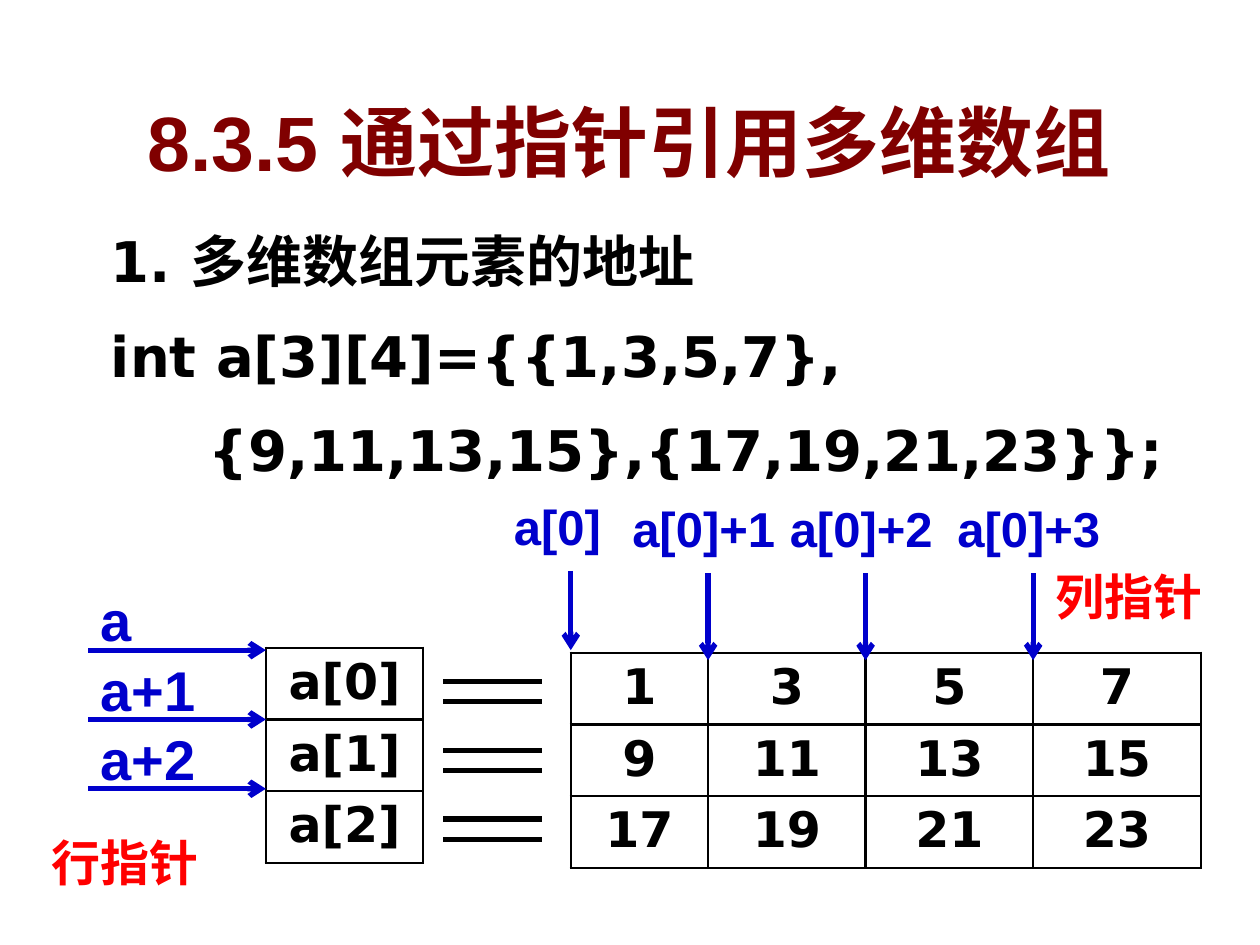
from dataclasses import dataclass

import pptx
import pptx.dml.color
import pptx.enum.shapes
import pptx.enum.text
import pptx.oxml
import pptx.oxml.ns
import pptx.util

Inches = pptx.util.Inches
Pt = pptx.util.Pt
ALIGN = pptx.enum.text.PP_ALIGN
NS = pptx.oxml.ns.nsdecls("a")


@dataclass(frozen=True)
class Theme:
    heading_font: str = "Arial"
    code_font: str = "DejaVu Sans"
    title: str = "800000"
    ink: str = "000000"
    pointer: str = "0000CC"
    note: str = "FF0000"
    paper: str = "FFFFFF"
    title_size: int = 44
    body_size: int = 32
    small_size: int = 28
    line_width: float = 3
    border_width: float = 1.5


THEME = Theme()


def rgb(color):
    return pptx.dml.color.RGBColor.from_string(color)


def style(paragraph, font_name, size, color):
    for run in paragraph.runs:
        run.font.name = font_name
        run.font.size = Pt(size)
        run.font.bold = True
        run.font.color.rgb = rgb(color)


def place(shape, left, top, width, height):
    shape.left, shape.top = Inches(left), Inches(top)
    shape.width, shape.height = Inches(width), Inches(height)


def add_label(slide, text, left, top, width, height, size, color):
    label = slide.shapes.add_textbox(
        Inches(left), Inches(top), Inches(width), Inches(height))
    label.text_frame.word_wrap = True
    label.text_frame.text = text
    style(label.text_frame.paragraphs[0], THEME.heading_font, size, color)


def add_line(slide, x1, y1, x2, y2, color, arrow=False):
    line = slide.shapes.add_connector(
        pptx.enum.shapes.MSO_CONNECTOR.STRAIGHT,
        Inches(x1), Inches(y1), Inches(x2), Inches(y2))
    line.line.color.rgb = rgb(color)
    line.line.width = Pt(THEME.line_width)
    if arrow:
        line.line._get_or_add_ln().append(
            pptx.oxml.parse_xml(f'<a:tailEnd {NS} type="arrow"/>'))
    line._element.spPr.append(pptx.oxml.parse_xml(f"<a:effectLst {NS}/>"))


def fill_title(slide, left, top, width, height):
    title = slide.shapes.title
    place(title, left, top, width, height)
    frame = title.text_frame
    frame.auto_size = pptx.enum.text.MSO_AUTO_SIZE.NONE
    frame.vertical_anchor = pptx.enum.text.MSO_ANCHOR.MIDDLE
    frame.text = "8.3.5 通过指针引用多维数组"
    heading = frame.paragraphs[0]
    heading.alignment = ALIGN.CENTER
    style(heading, THEME.heading_font, THEME.title_size, THEME.title)
    # Soft text shadow, placed right after the text fill
    fill = heading.runs[0].font._element.find(pptx.oxml.ns.qn("a:solidFill"))
    fill.addnext(pptx.oxml.parse_xml(
        f'<a:effectLst {NS}><a:outerShdw dist="38100" dir="2700000">'
        '<a:srgbClr val="C0C0C0"/></a:outerShdw></a:effectLst>'))


def fill_body(slide, left, top, width, height):
    body = slide.placeholders[1]
    place(body, left, top, width, height)
    frame = body.text_frame
    frame.auto_size = pptx.enum.text.MSO_AUTO_SIZE.NONE
    frame.text = "\n".join([
        "1. 多维数组元素的地址",
        "int a[3][4]={{1,3,5,7},",
        "     {9,11,13,15},{17,19,21,23}};",
    ])
    for i, paragraph in enumerate(frame.paragraphs):
        paragraph.line_spacing = 1.2
        paragraph.space_before = Pt(8 if i else 0)
        properties = paragraph._p.get_or_add_pPr()
        properties.set("marL", str(Inches(0.38)))
        properties.set("indent", str(Inches(-0.38)))
        properties.append(pptx.oxml.parse_xml(f"<a:buNone {NS}/>"))
        style(paragraph, THEME.code_font, THEME.body_size, THEME.ink)


def format_cell(cell, value):
    cell.text = str(value)
    paragraph = cell.text_frame.paragraphs[0]
    paragraph.alignment = ALIGN.CENTER
    style(paragraph, THEME.code_font, THEME.small_size, THEME.ink)
    properties = cell._tc.get_or_add_tcPr()
    for side in ("lnL", "lnR", "lnT", "lnB"):
        properties.append(pptx.oxml.parse_xml(
            f'<a:{side} {NS} w="{Pt(THEME.border_width)}"><a:solidFill>'
            f'<a:srgbClr val="{THEME.ink}"/></a:solidFill></a:{side}>'))
    cell.fill.solid()
    cell.fill.fore_color.rgb = rgb(THEME.paper)


def add_grid(slide, values, left, top, column_widths, row_height):
    grid = slide.shapes.add_table(
        len(values), len(column_widths), Inches(left), Inches(top),
        Inches(sum(column_widths)), Inches(row_height * len(values))).table
    grid.first_row = grid.horz_banding = False
    for column, width in zip(grid.columns, column_widths):
        column.width = Inches(width)
    for r, row in enumerate(values):
        grid.rows[r].height = Inches(row_height)
        for c, value in enumerate(row):
            format_cell(grid.cell(r, c), value)


def add_equals_signs(slide, left, top, width, pitch):
    for i in range(3):
        for gap in (0, 0.16):
            y = top + i * pitch + gap
            add_line(slide, left, y, left + width, y, THEME.ink)


def add_row_pointers(slide, left, top, width, pitch):
    for i, name in enumerate(["a", "a+1", "a+2"]):
        y = top + i * pitch
        add_label(slide, name, left, y, 1.25, 0.64,
                  THEME.body_size, THEME.pointer)
        add_line(slide, left, y + 0.56, left + width, y + 0.56,
                 THEME.pointer, arrow=True)


def add_column_pointers(slide, left, top, column_widths):
    for i, name in enumerate(["a[0]", "a[0]+1", "a[0]+2", "a[0]+3"]):
        x = left + sum(column_widths[:i])
        # The first pointer sits slightly higher and has a shorter label
        y, offset, width, length = (
            (top + 0.02, 0.7, 1.8, 0.69) if i else (top, 0.55, 1.17, 0.63))
        add_label(slide, name, x - offset, y, width, 0.57,
                  THEME.small_size, THEME.pointer)
        add_line(slide, x, y + 0.64, x, y + 0.64 + length,
                 THEME.pointer, arrow=True)


def add_array_diagram(slide, left, top):
    row_height = 0.57
    column_widths = [1.09, 1.25, 1.33, 1.33]
    elements_left = left + 4.22
    # Array elements and row names
    add_grid(slide, [[1, 3, 5, 7], [9, 11, 13, 15], [17, 19, 21, 23]],
             elements_left, top + 1.29, column_widths, row_height)
    add_grid(slide, [[f"a[{i}]"] for i in range(3)],
             left + 1.8, top + 1.25, [1.25], row_height)
    add_equals_signs(slide, left + 3.21, top + 1.52, 0.78, 0.545)
    # Pointers to rows and columns
    add_row_pointers(slide, left + 0.39, top + 0.71, 1.41, 0.55)
    add_column_pointers(slide, elements_left, top, column_widths)
    # Captions
    for caption, x, y in [("行指针", 0, 2.67), ("列指针", 7.97, 0.56)]:
        add_label(slide, caption, left + x, top + y, 1.48, 0.57,
                  THEME.small_size, THEME.note)


def main():
    deck = pptx.Presentation()
    deck.slide_width, deck.slide_height = Inches(10), Inches(7.5)
    slide = deck.slides.add_slide(deck.slide_layouts[1])
    fill_title(slide, 0.31, 0.7, 9.37, 0.84)
    fill_body(slide, 0.78, 1.64, 8.83, 2.5)
    add_array_diagram(slide, 0.31, 3.89)
    deck.save("out.pptx")


if __name__ == "__main__":
    main()
